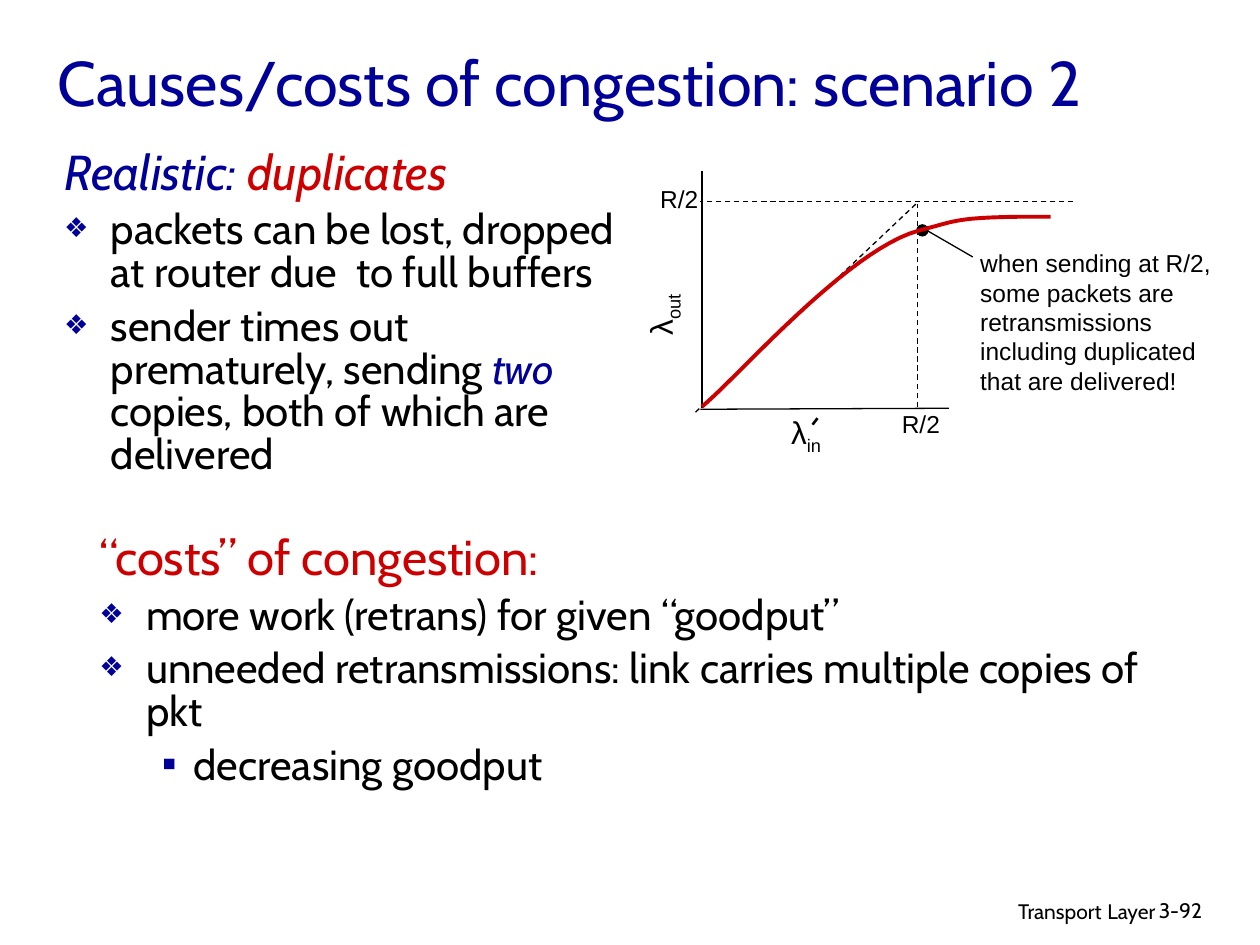
from dataclasses import dataclass
from typing import Optional

import lxml.etree
import pptx
import pptx.dml.color
import pptx.enum.dml
import pptx.enum.shapes
import pptx.enum.text
import pptx.oxml.ns
import pptx.util

Cm = pptx.util.Cm
Pt = pptx.util.Pt
Align = pptx.enum.text.PP_ALIGN
qn = pptx.oxml.ns.qn


@dataclass(frozen=True)
class Theme:
    black: str = "000000"
    blue: str = "000099"
    red: str = "CC0000"
    text_font: str = "Cabin"
    graph_font: str = "Arial"
    title: int = 36
    heading: int = 28
    body: int = 24
    symbol: int = 18
    label: int = 14
    footer: int = 12
    thin: float = 0.75
    prime: float = 1.5
    curve: float = 2.25


THEME = Theme()


@dataclass(frozen=True)
class Span:
    text: str
    size: float = THEME.body
    color: str = THEME.black
    font: str = THEME.text_font
    italic: bool = False
    subscript: bool = False


@dataclass(frozen=True)
class Bullet:
    char: str
    percent: int
    left: float
    hanging: float
    level: int = 0


@dataclass(frozen=True)
class Item:
    spans: list[Span]
    bullet: Optional[Bullet] = None


@dataclass(frozen=True)
class Label:
    box: tuple[float, float, float, float]
    spans: list[Span]
    wrap: bool = True
    align: Align = Align.LEFT
    rotation: float = 0


@dataclass(frozen=True)
class Segment:
    start: tuple[float, float]
    end: tuple[float, float]
    dashed: bool = False
    arrow: bool = False
    width: float = THEME.thin


DIAMOND = Bullet("❖", 65, 0.94, 0.94)
SQUARE = Bullet("▪", 100, 1.9, 0.64, level=1)


def graph_span(text: str, size: float = THEME.label, subscript: bool = False) -> Span:
    return Span(text, size, font=THEME.graph_font, subscript=subscript)


def symbol(subscript: str) -> list[Span]:
    return [graph_span("λ", THEME.symbol), graph_span(subscript, THEME.symbol, True)]


DUPLICATES = [
    Item([Span("Realistic: ", THEME.heading, THEME.blue, italic=True),
          Span("duplicates", THEME.heading, THEME.red, italic=True), Span(" ")]),
    Item([Span("packets can be lost, dropped at router due  to full buffers")], DIAMOND),
    Item([Span("sender times out prematurely, sending "),
          Span("two ", color=THEME.blue, italic=True),
          Span("copies, both of which are delivered")], DIAMOND),
]
COSTS = [
    Item([Span("“costs” of congestion:", THEME.heading, THEME.red)]),
    Item([Span("more work (retrans) for given “goodput”")], DIAMOND),
    Item([Span("unneeded retransmissions: link carries multiple copies of pkt")], DIAMOND),
    Item([Span("decreasing goodput")], SQUARE),
]
SEGMENTS = [
    Segment((14.15, 3.45), (14.15, 8.23)),
    Segment((19.13, 8.23), (14.12, 8.25)),
    Segment((21.64, 4.06), (14.12, 4.06), dashed=True),
    Segment((14.02, 8.31), (18.52, 4.06), dashed=True),
    Segment((18.49, 8.2), (18.49, 4.11), dashed=True),
    Segment((19.61, 5.18), (18.52, 4.55), arrow=True),
    Segment((16.38, 8.56), (16.48, 8.43), width=THEME.prime),
]
LABELS = [
    Label((13.06, 3.58, 1.27, 0.86), [graph_span("R/2")], wrap=False),
    Label((17.93, 8.13, 1.27, 0.86), [graph_span("R/2")], wrap=False),
    Label((12.5, 5.59, 1.73, 1.12), symbol("out"), rotation=270),
    Label((15.7, 8.2, 1.14, 1.12), symbol("in"), wrap=False),
    Label((19.51, 4.88, 5.23, 3.23), [graph_span(
        "when sending at R/2, some packets are retransmissions "
        "including duplicated that are delivered!")]),
    Label((15.49, 17.91, 8.05, 0.79),
          [Span("Transport", THEME.footer), Span(" ", THEME.label),
           Span("Layer", THEME.footer)], align=Align.RIGHT),
    Label((23.11, 17.96, 1.88, 0.76), [Span("3-92", THEME.footer)]),
]
CURVE_START = (14.15, 8.2)
CURVE_BEZIERS = [
    ((14.86, 7.62), (17.07, 5.05), (18.52, 4.65)),
    ((19.3, 4.45), (19.25, 4.39), (20.6, 4.37)),
]
CURVE_END = (21.18, 4.37)


def rgb(color: str) -> pptx.dml.color.RGBColor:
    return pptx.dml.color.RGBColor.from_string(color)


def add_spans(paragraph, spans: list[Span]) -> None:
    for span in spans:
        run = paragraph.add_run()
        run.text = span.text
        run.font.size = Pt(span.size)
        run.font.name = span.font
        run.font.italic = span.italic
        run.font.color.rgb = rgb(span.color)
        if span.subscript:
            run._r.get_or_add_rPr().set("baseline", "-25000")


def place(shape, box: tuple[float, float, float, float]) -> None:
    shape.left, shape.top, shape.width, shape.height = map(Cm, box)


def set_bullet(paragraph, bullet: Optional[Bullet]) -> None:
    properties = paragraph._p.get_or_add_pPr()
    left, hanging = (bullet.left, bullet.hanging) if bullet else (0.94, 0.94)
    properties.set("marL", str(Cm(left)))
    properties.set("indent", str(-Cm(hanging)))
    if bullet is None:
        lxml.etree.SubElement(properties, qn("a:buNone"))
        return
    paragraph.level = bullet.level
    color = lxml.etree.SubElement(properties, qn("a:buClr"))
    lxml.etree.SubElement(color, qn("a:srgbClr")).set("val", THEME.blue)
    lxml.etree.SubElement(properties, qn("a:buSzPct")).set("val", str(bullet.percent * 1000))
    lxml.etree.SubElement(properties, qn("a:buChar")).set("char", bullet.char)


def fill_list(body, box: tuple[float, float, float, float], items: list[Item]) -> None:
    place(body, box)
    frame = body.text_frame
    frame.auto_size = pptx.enum.text.MSO_AUTO_SIZE.NONE
    for index, item in enumerate(items):
        paragraph = frame.add_paragraph() if index else frame.paragraphs[0]
        set_bullet(paragraph, item.bullet)
        paragraph.line_spacing = 0.85
        paragraph.space_before = Pt(6 if index else 0)
        add_spans(paragraph, item.spans)


def draw_label(slide, label: Label) -> None:
    box = slide.shapes.add_textbox(*map(Cm, label.box))
    box.rotation = label.rotation
    box.text_frame.word_wrap = label.wrap
    paragraph = box.text_frame.paragraphs[0]
    paragraph.alignment = label.align
    add_spans(paragraph, label.spans)


def draw_segment(slide, segment: Segment) -> None:
    connector = slide.shapes.add_connector(
        pptx.enum.shapes.MSO_CONNECTOR.STRAIGHT, *map(Cm, segment.start + segment.end))
    connector.line.color.rgb = rgb(THEME.black)
    connector.line.width = Pt(segment.width)
    if segment.dashed:
        connector.line.dash_style = pptx.enum.dml.MSO_LINE.DASH
    if segment.arrow:
        line = connector.line._get_or_add_ln()
        lxml.etree.SubElement(line, qn("a:tailEnd")).set("type", "triangle")
    lxml.etree.SubElement(connector._element.spPr, qn("a:effectLst"))


def bezier_points(start, first, second, end, steps: int = 24) -> list[tuple[float, float]]:
    """Sample a cubic Bezier, leaving out its start point."""
    points = []
    for step in range(1, steps + 1):
        t = step / steps
        weights = ((1 - t) ** 3, 3 * t * (1 - t) ** 2, 3 * t ** 2 * (1 - t), t ** 3)
        points.append(tuple(sum(w * p[axis] for w, p in zip(weights, (start, first, second, end)))
                            for axis in (0, 1)))
    return points


def draw_throughput_curve(slide) -> None:
    points = [CURVE_START]
    for controls in CURVE_BEZIERS:
        points += bezier_points(points[-1], *controls)
    points.append(CURVE_END)
    builder = slide.shapes.build_freeform(*map(Cm, CURVE_START))
    builder.add_line_segments([(Cm(x), Cm(y)) for x, y in points[1:]], close=False)
    curve = builder.convert_to_shape()
    curve.shadow.inherit = False
    curve.fill.background()
    curve.line.color.rgb = rgb(THEME.red)
    curve.line.width = Pt(THEME.curve)


def draw_operating_point(slide) -> None:
    dot = slide.shapes.add_shape(
        pptx.enum.shapes.MSO_SHAPE.OVAL, Cm(18.47), Cm(4.52), Cm(0.25), Cm(0.25))
    dot.shadow.inherit = False
    dot.fill.solid()
    dot.fill.fore_color.rgb = rgb(THEME.black)
    dot.line.fill.background()


def main() -> None:
    deck = pptx.Presentation()
    deck.slide_width, deck.slide_height = Cm(25.4), Cm(19.05)
    slide = deck.slides.add_slide(deck.slide_layouts.get_by_name("Two Content"))
    title, duplicates, costs = slide.placeholders

    place(title, (0.91, 0.33, 21.59, 2.41))
    title.text_frame.auto_size = pptx.enum.text.MSO_AUTO_SIZE.NONE
    title.text_frame.vertical_anchor = pptx.enum.text.MSO_ANCHOR.MIDDLE
    heading = title.text_frame.paragraphs[0]
    heading.alignment = Align.LEFT
    add_spans(heading, [
        Span("Causes/costs of congestion: scenario 2", THEME.title, THEME.blue),
        Span(" ", 44, THEME.blue)])
    fill_list(duplicates, (1.04, 2.9, 11.96, 5.33), DUPLICATES)
    fill_list(costs, (1.75, 10.67, 22.63, 2.74), COSTS)

    for segment in SEGMENTS:
        draw_segment(slide, segment)
    draw_operating_point(slide)
    draw_throughput_curve(slide)
    for label in LABELS:
        draw_label(slide, label)
    deck.save("out.pptx")


if __name__ == "__main__":
    main()
